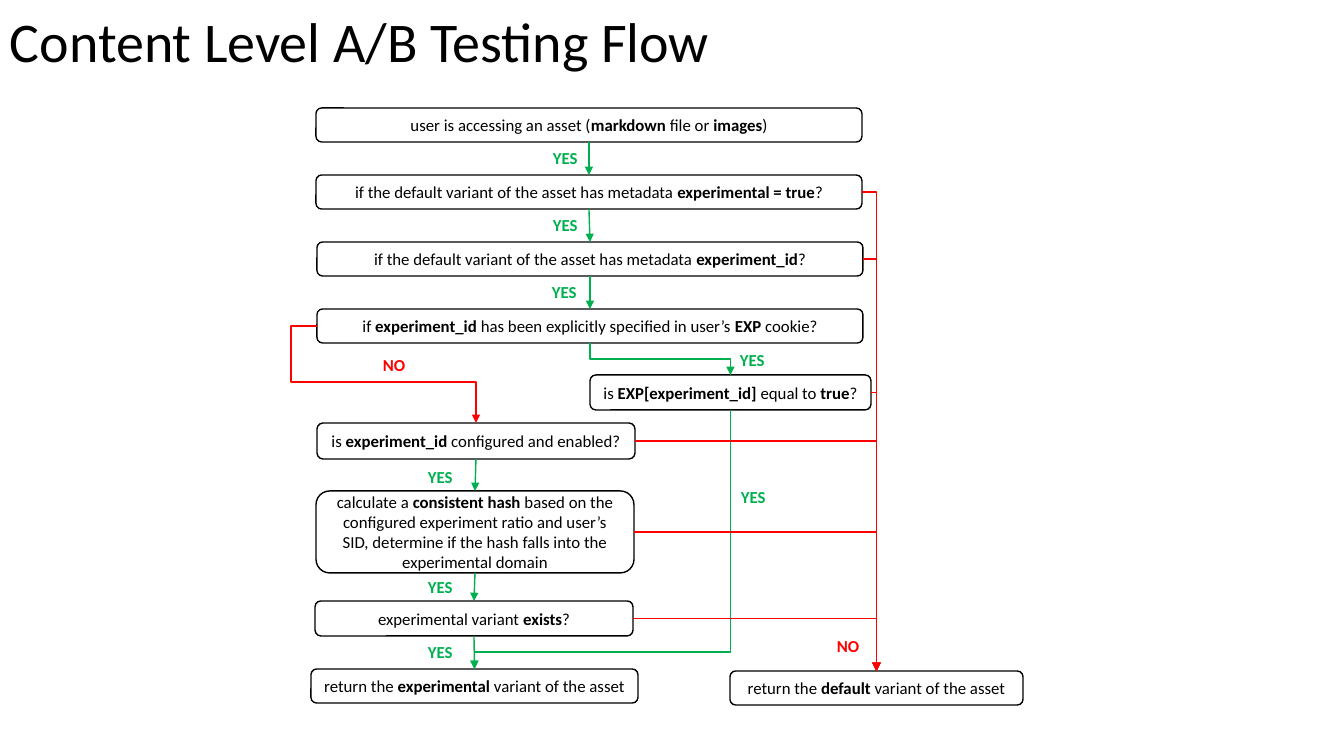
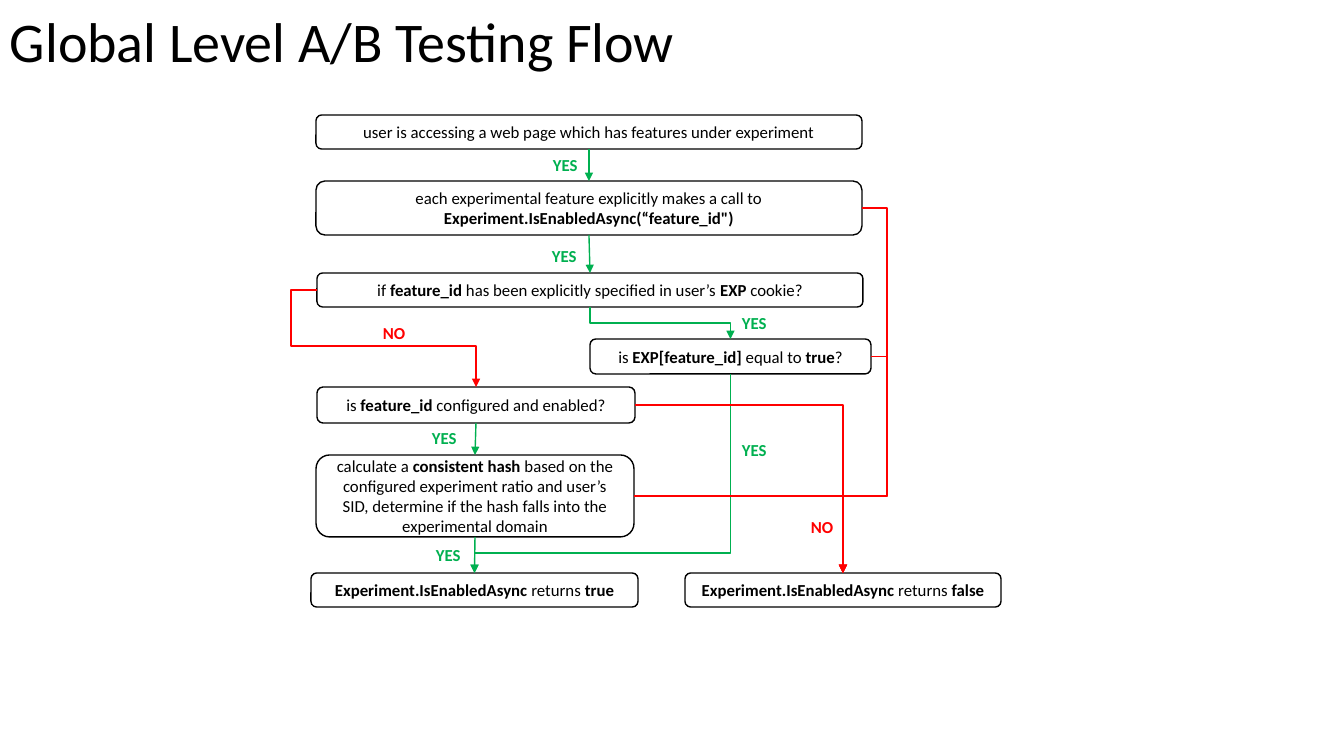
import dataclasses

import pptx
import pptx.dml.color
import pptx.enum.shapes
import pptx.enum.text
import pptx.oxml.ns
import pptx.util
from lxml import etree

SCALE = 914400 / 100.8
WHITE, BLACK, GREEN, RED = "FFFFFF", "000000", "00B050", "FF0000"
TOP, LEFT, BOTTOM, RIGHT = range(4)  # connection sites of a box
Shapes = pptx.enum.shapes.MSO_SHAPE
Lines = pptx.enum.shapes.MSO_CONNECTOR
Align = pptx.enum.text.PP_ALIGN
Anchor = pptx.enum.text.MSO_ANCHOR
qn = pptx.oxml.ns.qn

BODY = {"name": "Calibri", "size": pptx.util.Pt(12)}
TITLE = {"name": "Calibri", "size": pptx.util.Pt(40)}


@dataclasses.dataclass
class Box:
    x: int
    y: int
    w: int
    h: int
    text: str  # words between asterisks are bold

    def site(self, side: int) -> tuple[float, float]:
        mid_x, mid_y = self.x + self.w / 2, self.y + self.h / 2
        return [(mid_x, self.y), (self.x, mid_y),
                (mid_x, self.y + self.h), (self.x + self.w, mid_y)][side]


@dataclasses.dataclass
class Link:
    """Arrow into the top of a box; bends are the turning coordinates."""
    start: str
    end: str
    side: int = BOTTOM
    colour: str = GREEN
    bends: tuple[int, ...] = ()


@dataclasses.dataclass
class Flow:
    title: str
    boxes: dict[str, Box]
    links: list[Link]
    yes: list[tuple[int, int]]
    no: list[tuple[int, int]]


def px(n: float) -> int:
    return round(n * SCALE)


def rgb(value: str) -> pptx.dml.color.RGBColor:
    return pptx.dml.color.RGBColor.from_string(value)


def write(p, text: str, style: dict, colour: str = BLACK) -> None:
    for i, part in enumerate(text.split("*")):
        if part:
            r = p.add_run()
            r.text = part
            for key, value in {**style, "bold": i % 2 == 1}.items():
                setattr(r.font, key, value)
            r.font.color.rgb = rgb(colour)


def add_text(s, x: int, y: int, w: int, h: int, text: str, style: dict,
             colour: str = BLACK, anchor=Anchor.TOP):
    tf = s.shapes.add_textbox(*map(px, (x, y, w, h))).text_frame
    tf.word_wrap = True
    tf.vertical_anchor = anchor
    write(tf.paragraphs[0], text, style, colour)
    return tf


def add_title(s, text: str) -> None:
    tf = add_text(s, 0, 0, 1344, 80, text, TITLE, anchor=Anchor.BOTTOM)
    tf.paragraphs[0].line_spacing = 0.9


def add_box(s, box: Box):
    sp = s.shapes.add_shape(Shapes.ROUNDED_RECTANGLE,
                            *map(px, (box.x, box.y, box.w, box.h)))
    sp.shadow.inherit = False
    sp.fill.solid()
    sp.fill.fore_color.rgb = rgb(WHITE)
    sp.line.color.rgb = rgb(BLACK)
    sp.line.width = pptx.util.Pt(1)
    tf = sp.text_frame
    tf.word_wrap = True
    tf.vertical_anchor = Anchor.MIDDLE
    p = tf.paragraphs[0]
    p.alignment = Align.CENTER
    write(p, box.text, BODY)
    return sp


def add_link(s, link: Link, boxes: dict[str, Box], shapes: dict) -> None:
    start = boxes[link.start].site(link.side)
    end = boxes[link.end].site(TOP)
    across = link.side in (LEFT, RIGHT)
    bent = across or bool(link.bends)
    c = s.shapes.add_connector(Lines.ELBOW if bent else Lines.STRAIGHT,
                               *map(px, (*start, *end)))
    place = c.left, c.top, c.width, c.height
    c.begin_connect(shapes[link.start], link.side)
    c.end_connect(shapes[link.end], TOP)
    c.left, c.top, c.width, c.height = place
    sp_pr = c._element.spPr
    if bent:
        shape_bends(sp_pr, link.bends, start, end, across)
    if bent and not across:
        turn(c, start, end)
    c.line.color.rgb = rgb(link.colour)
    c.line.width = pptx.util.Pt(1)
    etree.SubElement(sp_pr.find(qn("a:ln")), qn("a:tailEnd"), type="triangle")
    etree.SubElement(sp_pr, qn("a:effectLst"))


def shape_bends(sp_pr, bends: tuple[int, ...], start: tuple[float, float],
                end: tuple[float, float], across: bool) -> None:
    geom = sp_pr.find(qn("a:prstGeom"))
    geom.set("prst", f"bentConnector{len(bends) + 2}")
    guides = geom.find(qn("a:avLst"))
    for i, bend in enumerate(bends):
        axis = i if across else 1 - i
        share = (bend - start[axis]) / (end[axis] - start[axis])
        etree.SubElement(guides, qn("a:gd"), name=f"adj{i + 1}",
                         fmla=f"val {round(share * 100000)}")


def turn(c, start: tuple[float, float], end: tuple[float, float]) -> None:
    """Rotate an elbow so that it leaves its box downwards."""
    w, h = end[1] - start[1], abs(end[0] - start[0])
    c.left = px((start[0] + end[0] - w) / 2)
    c.top = px((start[1] + end[1] - h) / 2)
    c.width, c.height = px(w), px(h)
    xfrm = c._element.spPr.find(qn("a:xfrm"))
    to_right = end[0] > start[0]
    xfrm.set("rot", "16200000" if to_right else "5400000")
    xfrm.set("flipH", "1" if to_right else "0")


def add_flow(prs, flow: Flow) -> None:
    s = prs.slides.add_slide(prs.slide_layouts[6])
    shapes = {name: add_box(s, box) for name, box in flow.boxes.items()}
    for link in flow.links:
        add_link(s, link, flow.boxes, shapes)
    add_title(s, flow.title)
    for word, colour, spots in (("*YES*", GREEN, flow.yes), ("*NO*", RED, flow.no)):
        for x, y in spots:
            add_text(s, x, y, 47, 30, word, BODY, colour)


# Boxes that both flows use
def wide(x: int, y: int, text: str, h: int = 34) -> Box:
    return Box(x, y, 546, h, text)


def decision_boxes(y: int, key: str) -> dict[str, Box]:
    return {
        "cookie": wide(317, y, f"if *{key}* has been explicitly specified "
                               "in user’s *EXP* cookie?"),
        "exp": Box(590, y + 66, 281, 35, f"is *EXP[{key}]* equal to *true*?"),
        "config": Box(317, y + 114, 318, 36, f"is *{key}* configured and enabled?"),
        "hash": Box(316, y + 182, 318, 82,
                    "calculate a *consistent hash* based on the configured "
                    "experiment ratio and user’s SID, determine if the hash "
                    "falls into the experimental domain"),
    }


def decision_links(y: int) -> list[Link]:
    return [
        Link("cookie", "exp", bends=(y + 50,)),
        Link("cookie", "config", LEFT, RED, (291, y + 73)),
        Link("config", "hash"),
    ]


# Content level flow
content = Flow(
    "Content Level A/B Testing Flow",
    {
        "start": wide(316, 108, "user is accessing an asset (*markdown* file or *images*)"),
        "meta": wide(316, 175, "if the default variant of the asset has metadata "
                               "*experimental = true*?"),
        "id": wide(317, 242, "if the default variant of the asset has metadata "
                             "*experiment_id*?"),
        **decision_boxes(309, "experiment_id"),
        "exists": Box(315, 601, 318, 35, "experimental variant *exists*?"),
        "variant": Box(311, 669, 327, 34, "return the *experimental* variant of the asset"),
        "default": Box(730, 671, 293, 34, "return the *default* variant of the asset"),
    },
    [
        Link("start", "meta"),
        Link("meta", "id"),
        Link("id", "cookie"),
        *decision_links(309),
        Link("hash", "exists"),
        Link("exists", "variant"),
        Link("exp", "variant", bends=(652,)),
        *(Link(name, "default", RIGHT, RED)
          for name in ("meta", "id", "exp", "config", "hash", "exists")),
    ],
    yes=[(543, 143), (543, 210), (542, 277), (730, 345), (731, 482),
         (418, 462), (418, 572), (418, 637)],
    no=[(373, 350), (827, 631)],
)

# Global level flow
overall = Flow(
    "Global Level A/B Testing Flow",
    {
        "start": wide(316, 115, "user is accessing a web page which has features "
                                "under experiment"),
        "call": wide(316, 181, "each experimental feature explicitly makes a call to "
                               "*Experiment.IsEnabledAsync(“feature_id\")*", 54),
        **decision_boxes(273, "feature_id"),
        "true": Box(311, 573, 327, 34, "*Experiment.IsEnabledAsync* returns *true*"),
        "false": Box(685, 573, 316, 34, "*Experiment.IsEnabledAsync* returns *false*"),
    },
    [
        Link("start", "call"),
        Link("call", "cookie"),
        *decision_links(273),
        Link("hash", "true"),
        Link("exp", "true", bends=(553,)),
        *(Link(name, "false", RIGHT, RED, (887, 496)) for name in ("call", "exp")),
        *(Link(name, "false", RIGHT, RED) for name in ("config", "hash")),
    ],
    yes=[(543, 150), (542, 241), (732, 308), (732, 435), (422, 423), (426, 540)],
    no=[(373, 318), (801, 512)],
)

prs = pptx.Presentation()
prs.slide_width, prs.slide_height = px(1344), px(756)
for flow in (content, overall):
    add_flow(prs, flow)
prs.save("out.pptx")
